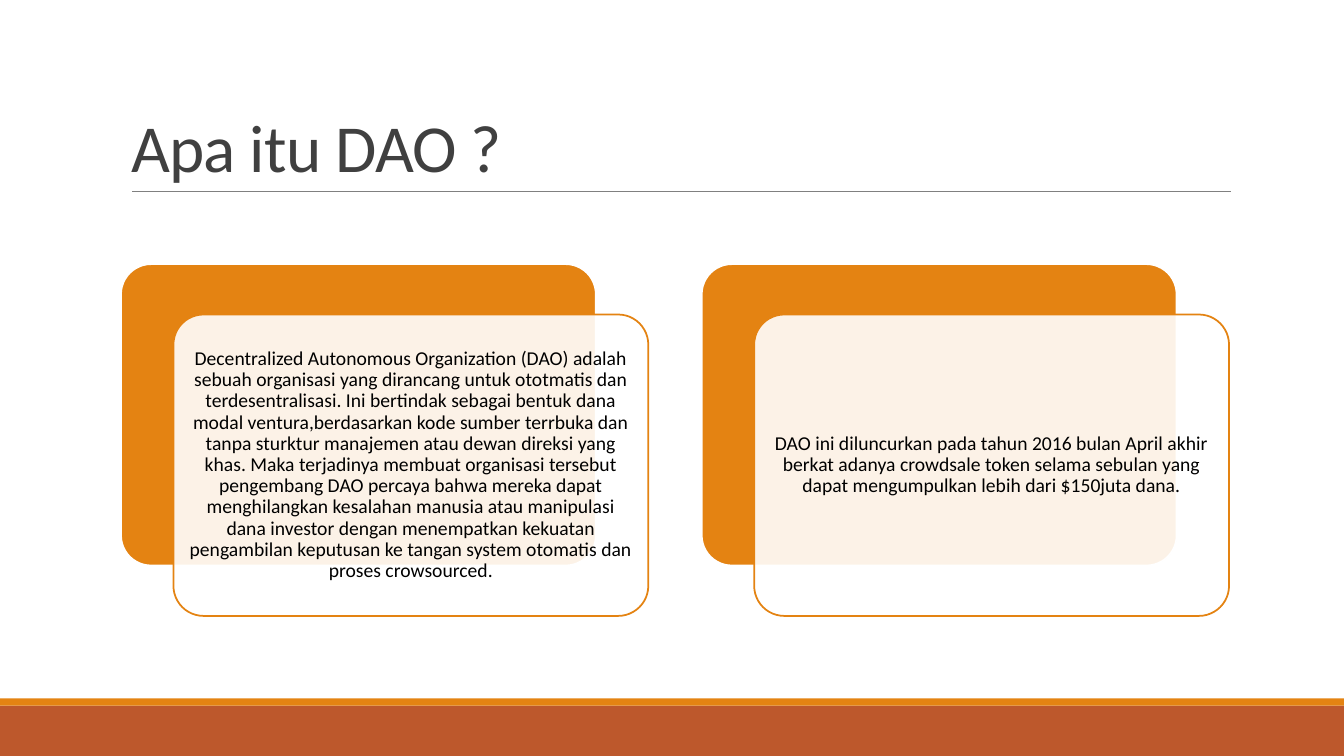
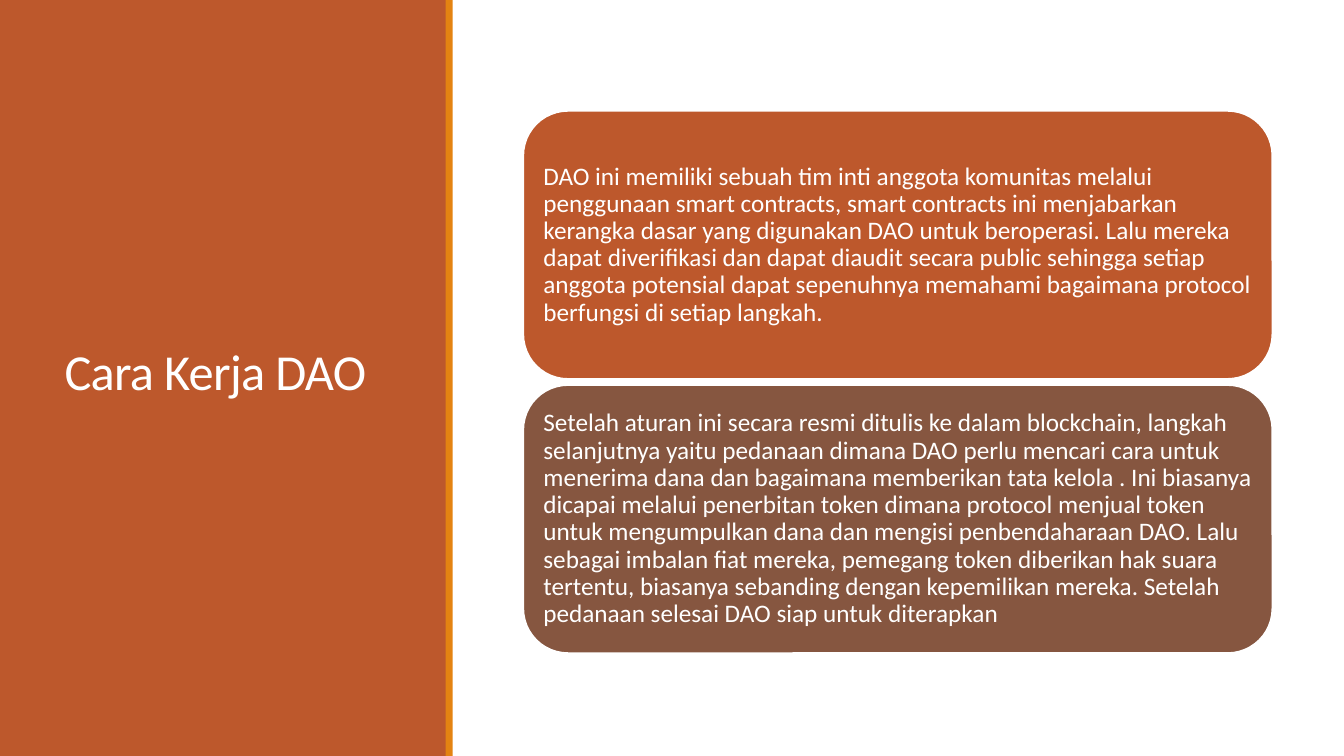
"""Build two slides that explain what a DAO is and how it works."""
import pptx
import pptx.dml.color
import pptx.enum.shapes
import pptx.enum.text
import pptx.oxml.ns
import pptx.oxml.xmlchemy
import pptx.util

Inches = pptx.util.Inches
Pt = pptx.util.Pt
RGBColor = pptx.dml.color.RGBColor
Shape = pptx.enum.shapes.MSO_SHAPE
Align = pptx.enum.text.PP_ALIGN
Anchor = pptx.enum.text.MSO_ANCHOR

RUST = RGBColor(0xBD, 0x58, 0x2C)
ORANGE = RGBColor(0xE4, 0x83, 0x12)
BROWN = RGBColor(0x86, 0x56, 0x40)
WHITE = RGBColor(0xFF, 0xFF, 0xFF)
BLACK = RGBColor(0, 0, 0)
DARK_GRAY = RGBColor(0x40, 0x40, 0x40)
GRAY = RGBColor(0x80, 0x80, 0x80)
FONT = "Calibri"
WIDTH, HEIGHT = 13.33, 7.5
STRIPE = 0.07

DEFINITION = {
    "title": "Apa itu DAO ?",
    "title_box": (1.2, 0.31, 11, 1.59),
    "title_anchor": Anchor.BOTTOM,
    "title_format": {"size": Pt(48), "color": DARK_GRAY},
    "bands": [
        ((0, 7, WIDTH, 0.5), RUST),
        ((0, 7 - STRIPE, WIDTH, STRIPE), ORANGE),
    ],
    "texts": [
        "Decentralized Autonomous Organization (DAO) adalah sebuah organisasi yang dirancang "
        "untuk ototmatis dan terdesentralisasi. Ini bertindak sebagai bentuk dana modal "
        "ventura,berdasarkan kode sumber terrbuka dan tanpa sturktur manajemen atau dewan "
        "direksi yang khas. Maka terjadinya membuat organisasi tersebut pengembang DAO percaya "
        "bahwa mereka dapat menghilangkan kesalahan manusia atau manipulasi dana investor "
        "dengan menempatkan kekuatan pengambilan keputusan ke tangan system otomatis dan "
        "proses crowsourced.",
        "DAO ini diluncurkan pada tahun 2016 bulan April akhir berkat adanya crowdsale token "
        "selama sebulan yang dapat mengumpulkan lebih dari $150juta dana.",
    ],
}
MECHANISM = {
    "title": "Cara Kerja DAO",
    "title_box": (0.54, 0.57, 3.37, 6.31),
    "title_anchor": Anchor.MIDDLE,
    "title_format": {"size": Pt(36), "color": WHITE},
    "bands": [
        ((0, 0, 4.43, HEIGHT), RUST),
        ((4.42, 0, STRIPE, HEIGHT), ORANGE),
    ],
    "texts": [
        "DAO ini memiliki sebuah tim inti anggota komunitas melalui penggunaan smart contracts, "
        "smart contracts ini menjabarkan kerangka dasar yang digunakan DAO untuk beroperasi. "
        "Lalu mereka dapat diverifikasi dan dapat diaudit secara public sehingga setiap anggota "
        "potensial dapat sepenuhnya memahami bagaimana protocol berfungsi di setiap langkah.",
        "Setelah aturan ini secara resmi ditulis ke dalam blockchain, langkah selanjutnya yaitu "
        "pedanaan dimana DAO perlu mencari cara untuk menerima dana dan bagaimana memberikan "
        "tata kelola . Ini biasanya dicapai melalui penerbitan token dimana protocol menjual "
        "token untuk mengumpulkan dana dan mengisi penbendaharaan DAO. Lalu sebagai imbalan "
        "fiat mereka, pemegang token diberikan hak suara tertentu, biasanya sebanding dengan "
        "kepemilikan mereka. Setelah pedanaan selesai DAO siap untuk diterapkan",
    ],
}

CARD_SIZE = (4.71, 2.99)
CARD_LEFT, CARD_TOP, CARD_PITCH = 1.2, 2.62, 5.76
FRONT_SHIFT = (0.52, 0.5)
PANEL_SIZE = (7.43, 2.66)
PANEL_LEFT, PANEL_TOP, PANEL_GAP = 5.19, 1.1, 0.06
PANEL_COLORS = (RUST, BROWN)


def write(shape, text, frame_format, paragraph_format, font_format):
    """Put one formatted paragraph in a shape and return its run."""
    frame = shape.text_frame
    frame.text = text
    paragraph = frame.paragraphs[0]
    run = paragraph.runs[0]
    font_format = dict(font_format)
    run.font.color.rgb = font_format.pop("color")
    frame_format = {"word_wrap": True, "auto_size": pptx.enum.text.MSO_AUTO_SIZE.NONE,
                    **frame_format}
    for target, values in (
        (frame, frame_format),
        (paragraph, paragraph_format),
        (run.font, {"name": FONT, **font_format}),
    ):
        for name, value in values.items():
            setattr(target, name, value)
    return run


def add_block(slide, box, fill, line=None, kind=Shape.RECTANGLE):
    """Draw a filled shape, outlined when a line colour is given."""
    shape = slide.shapes.add_shape(kind, *map(Inches, box))
    shape.shadow.inherit = False
    shape.fill.solid()
    shape.fill.fore_color.rgb = fill
    if line is None:
        shape.line.fill.background()
    else:
        shape.line.color.rgb = line
        shape.line.width = Pt(1.25)
    return shape


def write_body(shape, text, size, color, inset, alignment):
    """Write body text in the middle of a shape."""
    margins = {f"margin_{side}": Inches(inset) for side in ("left", "top", "right", "bottom")}
    write(shape, text, {"vertical_anchor": Anchor.MIDDLE, **margins},
          {"alignment": alignment, "line_spacing": 0.9}, {"size": Pt(size), "color": color})


def add_slide(presentation, content):
    """Add a slide with its bands and title."""
    slide = presentation.slides.add_slide(presentation.slide_layouts[5])
    for box, color in content["bands"]:
        add_block(slide, box, color)
    title = slide.shapes.title
    title.left, title.top, title.width, title.height = map(Inches, content["title_box"])
    run = write(title, content["title"], {"vertical_anchor": content["title_anchor"]},
                {"alignment": Align.LEFT, "line_spacing": 0.85}, content["title_format"])
    run.font._element.set("spc", "-50")
    slide.shapes._spTree.append(title._element)
    return slide


def add_rule(slide):
    """Draw the thin line under the title."""
    rule = slide.shapes.add_connector(
        pptx.enum.shapes.MSO_CONNECTOR.STRAIGHT, *map(Inches, (1.31, 1.9, 12.21, 1.9)))
    rule.line.color.rgb = GRAY
    rule.line.width = Pt(0.5)
    rule._element.spPr.append(pptx.oxml.xmlchemy.OxmlElement("a:effectLst"))


def add_card(slide, left, text):
    """Draw a solid card with a translucent text card in front."""
    shift_x, shift_y = FRONT_SHIFT
    back = add_block(slide, (left, CARD_TOP, *CARD_SIZE), ORANGE, WHITE, Shape.ROUNDED_RECTANGLE)
    front = add_block(slide, (left + shift_x, CARD_TOP + shift_y, *CARD_SIZE),
                      WHITE, ORANGE, Shape.ROUNDED_RECTANGLE)
    for shape in (back, front):
        shape.adjustments[0] = 0.1
    color = front._element.spPr.find(
        f"{pptx.oxml.ns.qn('a:solidFill')}/{pptx.oxml.ns.qn('a:srgbClr')}")
    alpha = pptx.oxml.xmlchemy.OxmlElement("a:alpha")
    alpha.set("val", "90000")
    color.append(alpha)
    write_body(front, text, 14, BLACK, 0.06, Align.CENTER)


def main():
    """Build and save the presentation."""
    presentation = pptx.Presentation()
    presentation.slide_width = Inches(WIDTH)
    presentation.slide_height = Inches(HEIGHT)

    slide = add_slide(presentation, DEFINITION)
    add_rule(slide)
    for index, text in enumerate(DEFINITION["texts"]):
        add_card(slide, CARD_LEFT + index * CARD_PITCH, text)

    slide = add_slide(presentation, MECHANISM)
    for index, (text, color) in enumerate(zip(MECHANISM["texts"], PANEL_COLORS)):
        top = PANEL_TOP + index * (PANEL_SIZE[1] + PANEL_GAP)
        panel = add_block(slide, (PANEL_LEFT, top, *PANEL_SIZE), color, WHITE,
                          Shape.ROUNDED_RECTANGLE)
        write_body(panel, text, 18, WHITE, 0.07, Align.LEFT)

    presentation.save("out.pptx")


if __name__ == "__main__":
    main()
